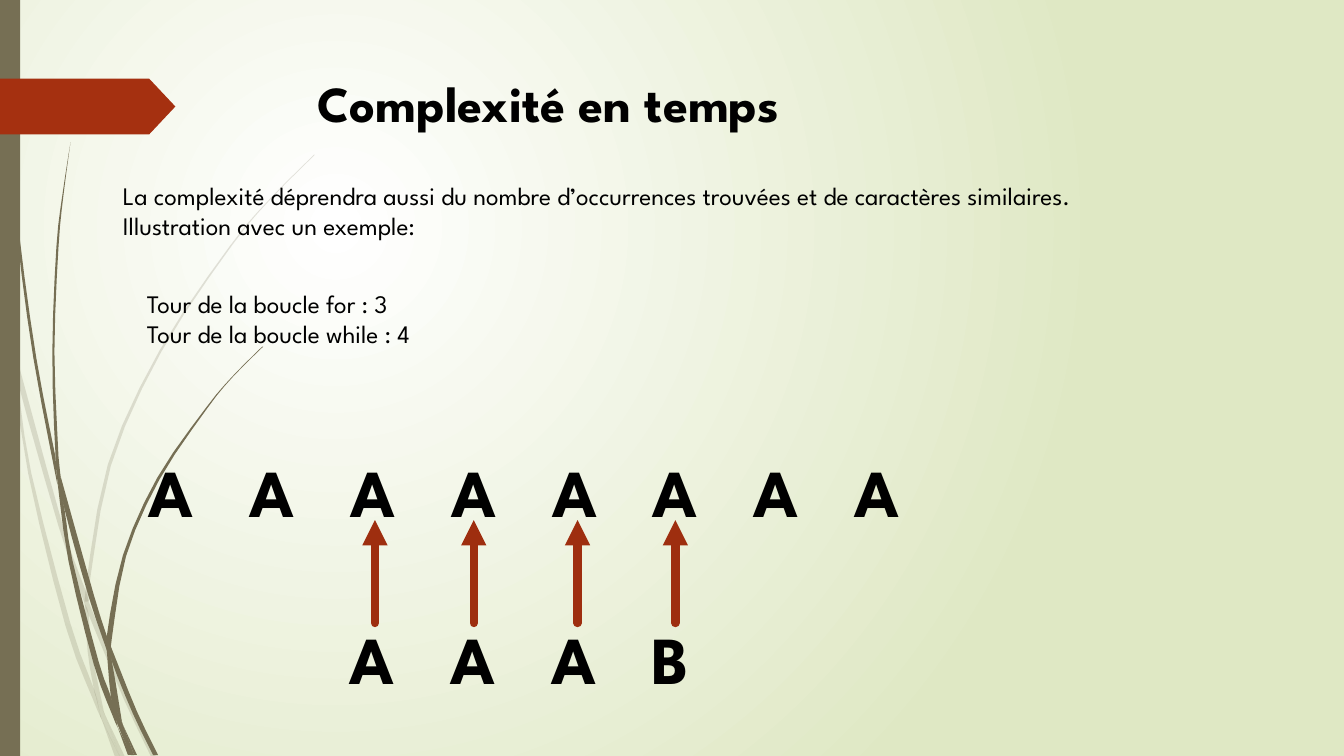
from typing import NamedTuple

from lxml import etree
from pptx import Presentation
from pptx import util as u
from pptx.dml.color import RGBColor
from pptx.enum import shapes, text
from pptx.oxml import ns

FONT = "League Spartan"
HUES = {"text": "000000", "wisp": "766F54", "tag": "A53010",
        "arrow": "9E2E0F", "light": "FFFFFF", "green": "DFE8C4"}
Point = tuple[float, float]


class Box(NamedTuple):
    x: float
    y: float
    w: float
    h: float


class Wisp(NamedTuple):
    left: list[Point]   # downwards
    right: list[Point]  # upwards


class Note(NamedTuple):
    box: Box
    lines: list[str]
    size: float = 18
    bold: bool = False


# Grass blades, cut into pieces
PALE = [
    Wisp([(0, 215.3), (7.2, 247.7), (7.9, 252)], [(7.9, 252), (6.5, 231.8), (0, 203)]),
    Wisp([(10.1, 248.4), (12.2, 270.7), (41.8, 375.8), (60.5, 431.3)],
         [(61.2, 421.9), (44.6, 374.4), (10.1, 248.4)]),
    Wisp([(63.4, 439.2), (88.6, 499.7), (108, 540.7)],
         [(111.6, 540.7), (91.4, 498.2), (66.2, 437), (63.4, 429.1)]),
    Wisp([(75.6, 511.9), (85.7, 540.7)], [(89.3, 540.7), (75.6, 511.9)]),
    Wisp([(7.9, 252), (20.2, 338.4), (46.8, 447.1), (66.2, 499), (72.7, 514.1)],
         [(71.3, 509), (67, 491.8), (50.4, 445.7), (22.3, 337.7), (12.2, 270.7), (7.9, 252)]),
    Wisp([(60.5, 431.3), (62.6, 465.1), (67, 491.8), (69.1, 498.2), (75.6, 511.9)],
         [(74.2, 508.3), (65.5, 465.1), (63.4, 439.2), (60.5, 431.3)]),
    Wisp([(224.6, 110.2), (193, 141.8), (164.2, 175.7), (113.8, 250.6), (77, 331.9),
          (61.2, 420.5), (63.4, 429.1)],
         [(63.4, 420.5), (79.2, 332.6), (115.2, 251.3), (164.9, 176.4), (193, 142.6),
          (224.6, 110.9)]),
    Wisp([(72.7, 514.1), (82.1, 540.7)], [(85.7, 540.7), (72.7, 514.1)]),
    Wisp([(61.2, 421.9), (60.5, 431.3), (63.4, 439.2)], [(63.4, 429.1), (61.2, 421.9)]),
    Wisp([(67, 491.8), (71.3, 509), (72.7, 514.1), (85.7, 540.7)],
         [(75.6, 511.9), (69.1, 498.2), (67, 491.8)]),
]
DARK = [
    Wisp([(2.2, 0), (5, 79.2), (12.2, 167.8), (23.8, 255.6), (41, 346.3)],
         [(39.6, 326.2), (25.9, 255.6), (13.7, 167), (5.8, 78.5), (2.9, 0)]),
    Wisp([(43.2, 339.8), (46.1, 363.6), (63.4, 426.2), (76.3, 464.4)],
         [(76.3, 454.3), (67, 424.8), (43.2, 339.8)]),
    Wisp([(79.2, 461.5), (79.9, 472.3), (95, 509.8), (109.4, 539.3)],
         [(113, 539.3), (97.9, 508.3), (81.4, 467.3), (79.2, 461.5)]),
    Wisp([(41, 343.4), (49, 401), (67, 474.5), (79.9, 509.8), (84.2, 519.8)],
         [(83.5, 516.2), (79.2, 497.5), (70.6, 473), (51.8, 400.3), (46.1, 363.6), (41, 343.4)]),
    Wisp([(50.4, 101.5), (44.6, 139), (40.3, 176.4), (37.4, 251.3), (39.6, 323.3), (43.2, 339.8)],
         [(41.8, 326.2), (38.9, 251.3), (41.8, 176.4), (45.4, 139), (50.4, 101.5)]),
    Wisp([(87.8, 517.7), (95.8, 539.3)], [(97.9, 539.3), (87.8, 517.7)]),
    Wisp([(39.6, 323.3), (41, 343.4), (46.1, 363.6)], [(43.2, 339.8), (39.6, 323.3)]),
    Wisp([(187.2, 247.7), (166.3, 268.6), (146.9, 291.6), (112.3, 341.3), (87.8, 396.7),
          (76.3, 454.3), (79.2, 461.5)],
         [(79.9, 455.8), (90, 397.4), (113.8, 342.7), (147.6, 292.3), (166.3, 269.3),
          (187.9, 247.7)]),
    Wisp([(84.2, 519.8), (91.4, 539.3)], [(94.3, 539.3), (84.2, 519.8)]),
    Wisp([(76.3, 464.4), (79.2, 497.5), (83.5, 508.3), (87.8, 517.7)],
         [(87.1, 515.5), (79.9, 472.3), (76.3, 464.4)]),
    Wisp([(76.3, 454.3), (76.3, 464.4), (79.9, 472.3)], [(79.2, 461.5), (76.3, 454.3)]),
    Wisp([(79.2, 497.5), (83.5, 516.2), (93.6, 539.3)],
         [(95.8, 539.3), (87.8, 517.7), (79.2, 497.5)]),
]
BODY = Note(Box(80.64, 125.28, 825.84, 72.72), [
    "La complexité déprendra aussi du nombre d’occurrences trouvées et de caractères similaires.",
    "Illustration avec un exemple:"])
NOTES = [
    Note(Box(99.36, 318.24, 585.36, 87.12), ["\t\t".join("A" * 8)], 48, True),
    Note(Box(242.64, 437.04, 264.24, 87.12), ["\t\t".join("AAAB")], 48, True),
    Note(Box(97.92, 202.32, 582.48, 51.12),
         ["Tour de la boucle for : 3", "Tour de la boucle while : 4"]),
]
ARROWS = [267.84, 338.4, 412.56, 482.4]


def rgb(name: str) -> RGBColor:
    return RGBColor.from_string(HUES[name])


def sub(node, tag: str, **attrs: str):
    return etree.SubElement(node, ns.qn(tag), attrs)


def paint(shape, name: str) -> None:
    shape.shadow.inherit = False
    shape.fill.solid()
    shape.fill.fore_color.rgb = rgb(name)
    shape.line.fill.background()


def curve(pts: list[Point], steps: int = 3) -> list[Point]:
    """Smooth line through all points (Catmull-Rom)."""
    ends = [pts[0], *pts, pts[-1]]
    out = [pts[0]]
    for quad in zip(ends, ends[1:], ends[2:], ends[3:]):
        for t in (i / steps for i in range(1, steps + 1)):
            out.append(tuple(
                (2 * q + (r - p) * t + (2 * p - 5 * q + 4 * r - s) * t ** 2
                 + (3 * q - p - 3 * r + s) * t ** 3) / 2 for p, q, r, s in zip(*quad)))
    return out


def draw_wisp(slide, wisp: Wisp, alpha: int) -> None:
    rim = [(u.Pt(x), u.Pt(y)) for x, y in curve(wisp.left) + curve(wisp.right)]
    pen = slide.shapes.build_freeform(*rim[0])
    pen.add_line_segments(rim[1:], close=True)
    shape = pen.convert_to_shape()
    paint(shape, "wisp")
    tint = shape.element.spPr.find(".//" + ns.qn("a:srgbClr"))
    sub(tint, "a:alpha", val=str(alpha * 1000))


def draw_shape(slide, kind, box: Box, name: str):
    shape = slide.shapes.add_shape(kind, *map(u.Pt, box))
    paint(shape, name)
    return shape


def write(shape, note: Note, align=text.PP_ALIGN.LEFT) -> None:
    shape.left, shape.top, shape.width, shape.height = map(u.Pt, note.box)
    frame = shape.text_frame
    frame.word_wrap = True
    frame.auto_size = text.MSO_AUTO_SIZE.NONE
    frame.vertical_anchor = text.MSO_ANCHOR.TOP
    frame.text = "\n".join(note.lines)
    for para in frame.paragraphs:
        props = para._p.get_or_add_pPr()
        props.set("marL", "0")
        props.set("indent", "0")
        sub(props, "a:buNone")
        para.alignment, para.space_before = align, u.Pt(0)
        font = para.font
        font.name, font.size, font.bold = FONT, u.Pt(note.size), note.bold
        font.color.rgb = rgb("text")


def draw_arrow(slide, x: float) -> None:
    line = slide.shapes.add_connector(
        shapes.MSO_CONNECTOR.STRAIGHT, u.Pt(x), u.Pt(445), u.Pt(x), u.Pt(371.5))
    line.line.color.rgb = rgb("arrow")
    line.line.width = u.Pt(6)
    ln = line.get_or_add_ln()
    ln.set("cap", "rnd")
    sub(ln, "a:tailEnd", type="triangle")
    sub(line.element.spPr, "a:effectLst")


def fill_back(slide) -> None:
    fill = slide.background.fill
    fill.gradient()
    for stop, name in zip(fill.gradient_stops, ("light", "green")):
        stop.color.rgb = rgb(name)
    grad = slide.element.find(".//" + ns.qn("a:gradFill"))
    grad.remove(grad.find(ns.qn("a:lin")))
    ring = sub(grad, "a:path", path="circle")
    sub(ring, "a:fillToRect", l="25000", t="30000", r="75000", b="70000")


def main() -> None:
    deck = Presentation()
    deck.slide_width, deck.slide_height = u.Pt(960), u.Pt(540)
    slide = deck.slides.add_slide(deck.slide_layouts[1])
    fill_back(slide)
    # Decoration on the left
    for blades, alpha in ((PALE, 20), (DARK, 100)):
        for wisp in blades:
            draw_wisp(slide, wisp, alpha)
    draw_shape(slide, shapes.MSO_SHAPE.RECTANGLE, Box(0, 0, 14.4, 540), "wisp")
    tag = draw_shape(slide, shapes.MSO_SHAPE.PENTAGON, Box(0, 56.2, 125.3, 39.8), "tag")
    tag.adjustments[0] = 0.47
    # Title and body, in front of the decoration
    title, body = slide.placeholders
    for shape in (title, body):
        slide.shapes.element.append(shape.element)
    head = Note(Box(53.28, 48.24, 676.8, 64.08), ["Complexité en temps"], 36, True)
    write(title, head, text.PP_ALIGN.CENTER)
    write(body, BODY)
    # Letter rows, loop counts and arrows
    for note in NOTES:
        write(slide.shapes.add_textbox(*map(u.Pt, note.box)), note)
    for x in ARROWS:
        draw_arrow(slide, x)
    deck.save("out.pptx")


if __name__ == "__main__":
    main()
